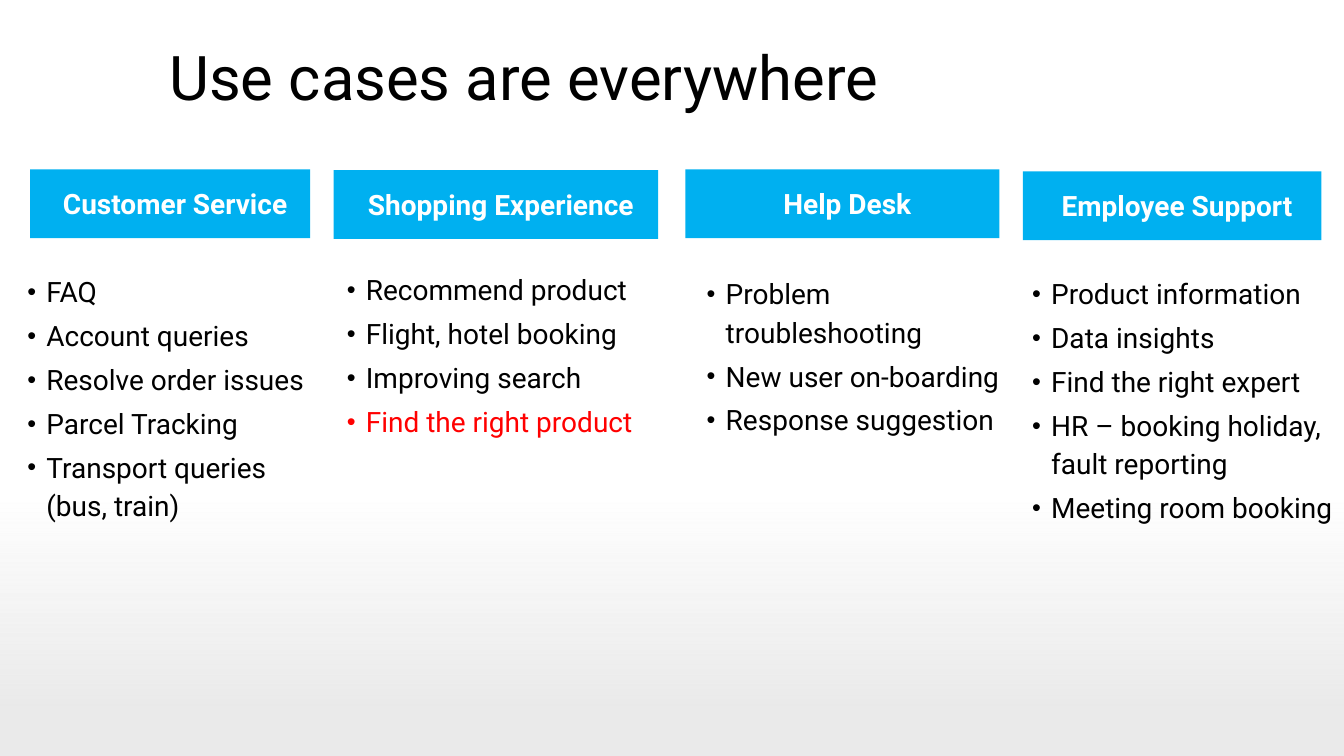
from lxml import etree
from pptx import Presentation
from pptx import util as u
from pptx.dml.color import RGBColor
from pptx.enum import shapes, text
from pptx.oxml import ns

BLACK = RGBColor(0x00, 0x00, 0x00)
WHITE = RGBColor(0xFF, 0xFF, 0xFF)
RED = RGBColor(0xFF, 0x00, 0x00)
SKY_BLUE = RGBColor(0x00, 0xB0, 0xF0)
PALE_GREY = RGBColor(0xEA, 0xEA, 0xEA)
FONT = "Roboto"
INSET = u.Cm(0.23)
HEADING_HEIGHT = 1.73
LIST_HEIGHT = 9.4
HIGHLIGHT = "Find the right product"

# Heading, its left, top and width, list left, top and width (cm), list items
USE_CASES = [
    ("Customer Service", (0.76, 4.27, 7.06), (0.46, 6.58, 7.67),
     ["FAQ", "Account queries", "Resolve order issues", "Parcel Tracking",
      "Transport queries (bus, train)"]),
    ("Shopping Experience", (8.41, 4.29, 8.18), (8.51, 6.53, 8.66),
     ["Recommend product", "Flight, hotel booking", "Improving search", HIGHLIGHT]),
    ("Help Desk", (17.27, 4.27, 7.92), (17.58, 6.63, 7.9),
     ["Problem troubleshooting", "New user on-boarding", "Response suggestion"]),
    ("Employee Support", (25.78, 4.32, 7.52), (25.78, 6.63, 7.8),
     ["Product information", "Data insights", "Find the right expert",
      "HR – booking holiday, fault reporting", "Meeting room booking"]),
]


def style_runs(paragraph, size, color, bold=False):
    for run in paragraph.runs:
        run.font.name = FONT
        run.font.size = u.Pt(size)
        run.font.bold = bold
        run.font.color.rgb = color


def set_insets(frame, left, right):
    frame.margin_left, frame.margin_right = left, right
    frame.margin_top = frame.margin_bottom = INSET
    frame.word_wrap = True


def add_rectangle(slide, left, top, width, height):
    rectangle = slide.shapes.add_shape(
        shapes.MSO_SHAPE.RECTANGLE, u.Cm(left), u.Cm(top), u.Cm(width), u.Cm(height))
    rectangle.shadow.inherit = False
    rectangle.line.fill.background()
    return rectangle


def add_backdrop(slide, left, top, width, height):
    """Add a grey band that fades out upwards, behind everything else."""
    band = add_rectangle(slide, left, top, width, height)
    band.fill.gradient()
    band.fill.gradient_angle = 270
    for stop, position in zip(band.fill.gradient_stops, (0.18, 0.82)):
        stop.position = position
        stop.color.rgb = PALE_GREY
    clear_color = next(band._element.spPr.iter(ns.qn("a:srgbClr")))
    etree.SubElement(clear_color, ns.qn("a:alpha"), val="0")
    slide.shapes._spTree.insert(2, band._element)


def set_title(slide, left, top, width, height):
    title = slide.shapes.title
    title.left, title.top = u.Cm(left), u.Cm(top)
    title.width, title.height = u.Cm(width), u.Cm(height)
    frame = title.text_frame
    frame.text = "Use cases are everywhere"
    frame.auto_size = text.MSO_AUTO_SIZE.NONE
    frame.vertical_anchor = text.MSO_ANCHOR.MIDDLE
    line = frame.paragraphs[0]
    line.alignment = text.PP_ALIGN.LEFT
    line.line_spacing = 0.9
    style_runs(line, 44, BLACK)


def add_heading(slide, wording, left, top, width):
    heading = add_rectangle(slide, left, top, width, HEADING_HEIGHT)
    heading.fill.solid()
    heading.fill.fore_color.rgb = SKY_BLUE
    frame = heading.text_frame
    set_insets(frame, u.Cm(0.48), INSET)
    frame.vertical_anchor = text.MSO_ANCHOR.MIDDLE
    frame.text = wording
    line = frame.paragraphs[0]
    line.alignment = text.PP_ALIGN.CENTER
    style_runs(line, 20, WHITE, bold=True)


def add_bullet(paragraph):
    properties = paragraph._p.get_or_add_pPr()
    indent = u.Cm(0.48)
    properties.set("marL", str(indent))
    properties.set("indent", str(-indent))
    etree.SubElement(properties, ns.qn("a:buSzPct"), val="90000")
    etree.SubElement(properties, ns.qn("a:buFont"), typeface="Arial")
    etree.SubElement(properties, ns.qn("a:buChar"), char="•")


def add_list(slide, items, left, top, width):
    box = slide.shapes.add_textbox(
        u.Cm(left), u.Cm(top), u.Cm(width), u.Cm(LIST_HEIGHT))
    frame = box.text_frame
    set_insets(frame, INSET, 0)
    frame.text = "\n".join(items)
    for number, item in enumerate(frame.paragraphs):
        add_bullet(item)
        item.line_spacing = 1.14
        if number:
            item.space_before = u.Pt(4)
        style_runs(item, 20, RED if item.text == HIGHLIGHT else BLACK)


def main():
    deck = Presentation()
    deck.slide_width, deck.slide_height = u.Cm(33.87), u.Cm(19.05)
    slide = deck.slides.add_slide(deck.slide_layouts[5])
    add_backdrop(slide, 0, 11.05, 33.96, 8.36)
    set_title(slide, 4.01, 0.79, 29.85, 2.49)
    for wording, heading_place, list_place, items in USE_CASES:
        add_heading(slide, wording, *heading_place)
        add_list(slide, items, *list_place)
    deck.save("out.pptx")


if __name__ == "__main__":
    main()
